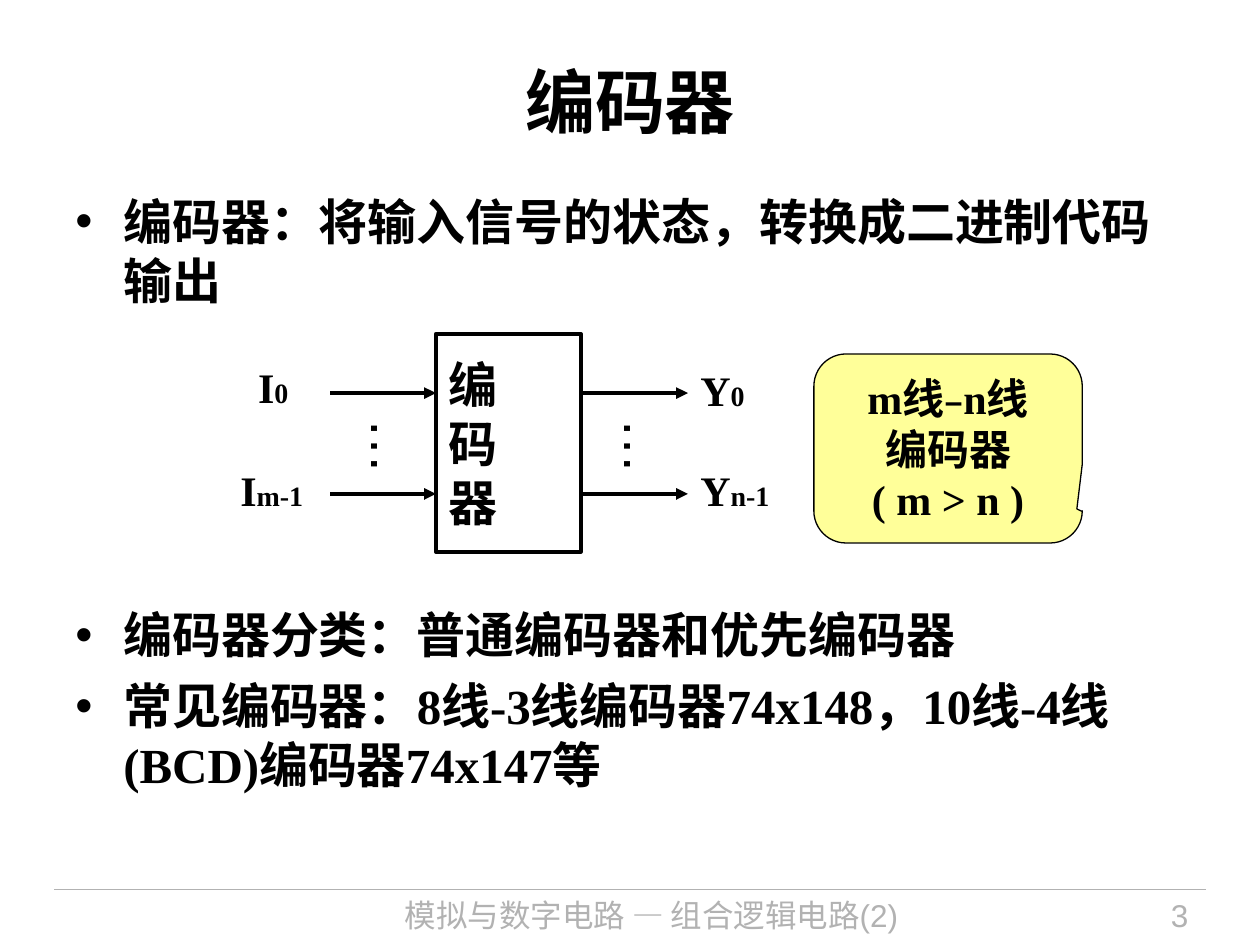
import pptx
import pptx.util
import pptx.dml.color
import pptx.enum.shapes
import pptx.enum.text
import pptx.oxml.ns
from dataclasses import dataclass
from lxml import etree

Inches = pptx.util.Inches
Pt = pptx.util.Pt
Align = pptx.enum.text.PP_ALIGN
Anchor = pptx.enum.text.MSO_ANCHOR
Shape = pptx.enum.shapes.MSO_SHAPE
qn = pptx.oxml.ns.qn


@dataclass(frozen=True)
class Theme:
    ink: str = "000000"
    muted: str = "B2B2B2"
    note: str = "FFFF99"
    sans: str = "Arial"
    serif: str = "Times New Roman"
    title: int = 40
    dots: int = 32
    body: int = 28
    label: int = 24
    dash: int = 20
    footer: int = 18
    index: int = 16
    thin: float = 0.75
    thick: float = 2.25


THEME = Theme()


def color(value):
    return pptx.dml.color.RGBColor.from_string(value)


def add_span(para, text, size=THEME.label, font=THEME.serif, ink=THEME.ink, bold=True):
    span = para.add_run()
    span.text = text
    span.font.size = Pt(size)
    span.font.name = font
    span.font.bold = bold
    span.font.color.rgb = color(ink)


def add_para(frame, text, align=Align.LEFT, **style):
    first = frame.paragraphs[0]
    para = frame.add_paragraph() if first.runs else first
    para.alignment = align
    add_span(para, text, **style)
    return para


def set_frame(frame, wrap=False, anchor=Anchor.TOP, inset=(0.1, 0.05)):
    frame.word_wrap = wrap
    frame.vertical_anchor = anchor
    frame.margin_left = frame.margin_right = Inches(inset[0])
    frame.margin_top = frame.margin_bottom = Inches(inset[1])
    return frame


def add_text(page, place, text, wrap=False, inset=(0.1, 0.05), **style):
    box = page.shapes.add_textbox(*map(Inches, place))
    frame = set_frame(box.text_frame, wrap, inset=inset)
    return frame, add_para(frame, text, **style)


def add_label(page, left, top, width, name, index):
    frame, para = add_text(page, (left, top, width, 0.5), name)
    add_span(para, index, size=THEME.index)


def add_dots(page, left):
    frame, para = add_text(page, (left, 3.32, 0.53, 0.45), "…", inset=(0, 0), align=Align.CENTER,
                           size=THEME.dots, font=THEME.sans, bold=False)
    frame._txBody.bodyPr.set("vert", "eaVert")


def add_line(page, left, right, top, ink=THEME.ink, width=THEME.thick, arrow=True):
    line = page.shapes.add_connector(pptx.enum.shapes.MSO_CONNECTOR.STRAIGHT,
                                     Inches(left), Inches(top), Inches(right), Inches(top))
    line.line.color.rgb = color(ink)
    line.line.width = Pt(width)
    if arrow:
        etree.SubElement(line.line._get_or_add_ln(), qn("a:tailEnd"), type="triangle")
    etree.SubElement(line._element.spPr, qn("a:effectLst"))


def add_block(page, kind, place, width, fill=None):
    block = page.shapes.add_shape(kind, *map(Inches, place))
    block.shadow.inherit = False
    if fill:
        block.fill.solid()
        block.fill.fore_color.rgb = color(fill)
    else:
        block.fill.background()
    block.line.color.rgb = color(THEME.ink)
    block.line.width = Pt(width)
    return block


def add_title(page, text):
    title = page.shapes.title
    title.left, title.top, title.width, title.height = map(Inches, (0.5, 0.17, 9, 1.25))
    frame = set_frame(title.text_frame, True, Anchor.MIDDLE)
    frame.auto_size = pptx.enum.text.MSO_AUTO_SIZE.NONE
    add_para(frame, text, Align.CENTER, size=THEME.title, font=THEME.sans)


def add_bullets(page, place, items):
    box = page.shapes.add_textbox(*map(Inches, place))
    frame = set_frame(box.text_frame, True)
    for text, gap in items:
        para = add_para(frame, text, size=THEME.body)
        para.space_before = Pt(gap)
        para.space_after = Pt(7)
        props = para._p.get_or_add_pPr()
        props.set("marL", str(Inches(0.38)))
        props.set("indent", str(-Inches(0.38)))
        etree.SubElement(props, qn("a:buFont"), typeface=THEME.sans)
        etree.SubElement(props, qn("a:buChar"), char="•")


def add_encoder(page):
    block = add_block(page, Shape.RECTANGLE, (3.46, 2.65, 1.15, 1.73), THEME.thick)
    frame = set_frame(block.text_frame, anchor=Anchor.MIDDLE, inset=(0.1, 0))
    for letter in "编码器":
        add_para(frame, letter, size=THEME.body, font=THEME.sans)
    for top in (3.12, 3.92):
        add_line(page, 2.62, 3.46, top)
        add_line(page, 4.61, 5.46, top)
    for left in (2.86, 4.87):
        add_dots(page, left)
    add_label(page, 1.95, 2.82, 0.44, "I", "0")
    add_label(page, 1.81, 3.64, 0.7, "I", "m-1")
    add_label(page, 5.46, 2.84, 0.55, "Y", "0")
    add_label(page, 5.46, 3.64, 0.75, "Y", "n-1")


def add_callout(page):
    block = add_block(page, Shape.ROUNDED_RECTANGULAR_CALLOUT, (6.46, 2.81, 2.13, 1.5),
                      THEME.thin, THEME.note)
    for index, value in enumerate((0.48, 0.32, 0.17)):
        block.adjustments[index] = value
    frame = set_frame(block.text_frame, anchor=Anchor.MIDDLE)
    para = add_para(frame, "m线", Align.CENTER)
    add_span(para, "–", size=THEME.dash, font=THEME.sans)
    add_span(para, "n线")
    for text in ("编码器", "( m > n )"):
        add_para(frame, text, Align.CENTER)


def add_footer(page):
    add_line(page, 0.43, 9.57, 7.06, THEME.muted, THEME.thin, arrow=False)
    for left, width, text, align in ((2.49, 5.36, "模拟与数字电路 — 组合逻辑电路(2)", Align.CENTER),
                                     (8.2, 1.33, "3", Align.RIGHT)):
        add_text(page, (left, 7.06, width, 0.44), text, wrap=True, align=align,
                 size=THEME.footer, font=THEME.sans, ink=THEME.muted, bold=False)


def main():
    deck = pptx.Presentation()
    deck.slide_width, deck.slide_height = Inches(10), Inches(7.5)
    page = deck.slides.add_slide(deck.slide_layouts[5])
    add_footer(page)
    add_title(page, "编码器")
    add_bullets(page, (0.5, 1.47, 8.95, 5.55), (
        ("编码器：将输入信号的状态，转换成二进制代码输出", 0),
        ("编码器分类：普通编码器和优先编码器", 162),
        ("常见编码器：8线-3线编码器74x148，10线-4线(BCD)编码器74x147等", 0),
    ))
    add_callout(page)
    add_encoder(page)
    deck.save("out.pptx")


if __name__ == "__main__":
    main()
